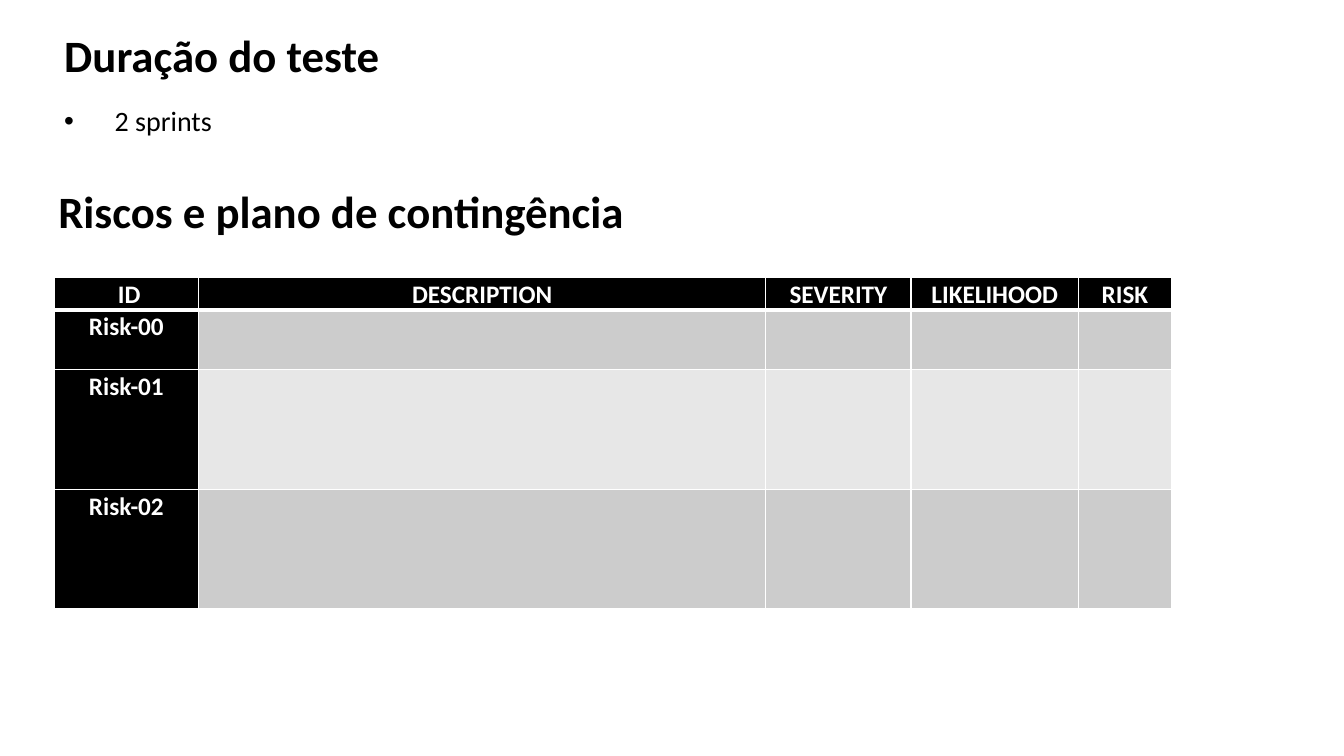
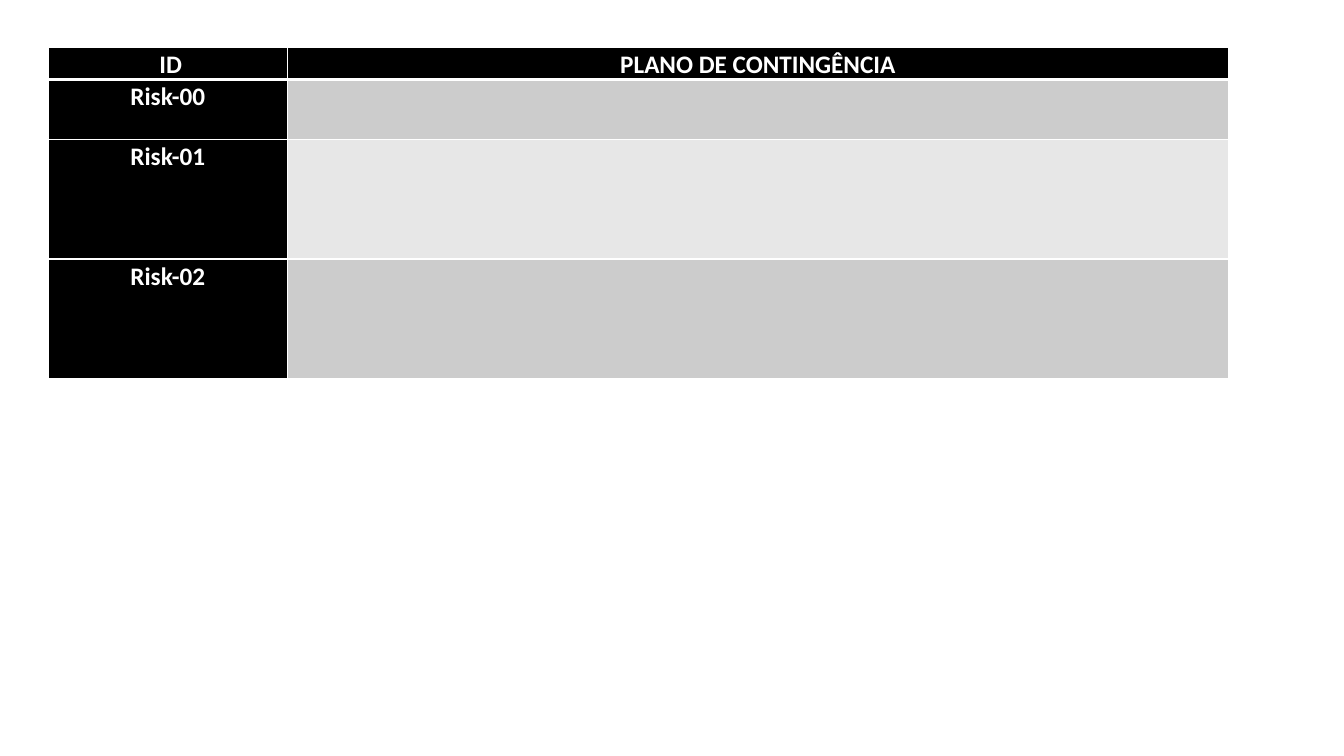
"""Build two slides on test duration, risks and the contingency plan."""
from dataclasses import dataclass

from lxml import etree
from pptx import Presentation
from pptx.dml.color import RGBColor
from pptx.enum.text import MSO_AUTO_SIZE, PP_ALIGN
from pptx.oxml.ns import qn
from pptx.util import Cm, Pt

CENTER, LEFT = PP_ALIGN.CENTER, PP_ALIGN.LEFT
FIT_SHAPE = MSO_AUTO_SIZE.SHAPE_TO_FIT_TEXT


@dataclass(frozen=True)
class Theme:
    font: str = "Calibri"
    dark: str = "000000"
    light: str = "FFFFFF"
    bands: tuple = ("CCCCCC", "E7E7E7")
    heading: int = 32
    body: int = 20
    cell: int = 18
    thin_line: int = 1
    thick_line: int = 3


THEME = Theme()
RISKS = ("Risk-00", "Risk-01", "Risk-02")
ROW_HEIGHTS = (0.74, 1.5, 3.02, 3.02)
SLIDES = (
    {
        "texts": (
            ("Duração do teste", (1.37, 0.58, 8.84, 1.62), {"size": THEME.heading, "bold": True}),
            ("2 sprints", (1.37, 2.49, 4.27, 1.12), {"size": THEME.body, "indent": 1.27}),
            ("Riscos e plano de contingência", (1.22, 4.5, 15.21, 1.62),
             {"size": THEME.heading, "bold": True}),
        ),
        "corner": (1.37, 6.99),
        "columns": (("\u00a0ID", 3.63), ("DESCRIPTION", 14.3), ("SEVERITY", 3.66),
                    ("LIKELIHOOD", 4.22), ("RISK", 2.34)),
    },
    {
        "texts": (),
        "corner": (1.22, 1.19),
        "columns": (("\u00a0ID", 6.02), ("PLANO DE CONTINGÊNCIA", 23.72)),
    },
)


def write_text(frame, text, size, color=THEME.dark, bold=False, align=LEFT,
               spacing=None, indent=None):
    para = frame.paragraphs[0]
    para.alignment = align
    if spacing:
        para.line_spacing = spacing
    if indent:
        properties = para._p.get_or_add_pPr()
        properties.set("marL", str(Cm(indent)))
        properties.set("indent", str(-Cm(indent)))
        etree.SubElement(properties, qn("a:buFont"), typeface="Arial")
        etree.SubElement(properties, qn("a:buChar"), char="•")
    span = para.add_run()
    span.text = text
    span.font.name = THEME.font
    span.font.size = Pt(size)
    span.font.bold = bold
    span.font.color.rgb = RGBColor.from_string(color)


def add_text(page, text, place, **text_format):
    box = page.shapes.add_textbox(*(Cm(length) for length in place))
    box.text_frame.word_wrap = False
    box.text_frame.auto_size = FIT_SHAPE
    write_text(box.text_frame, text, **text_format)


def style_cell(cell, fill, top, bottom):
    properties = cell._tc.get_or_add_tcPr()
    widths = {"lnL": THEME.thin_line, "lnR": THEME.thin_line, "lnT": top, "lnB": bottom}
    for side, width in widths.items():
        line = etree.SubElement(properties, qn(f"a:{side}"), w=str(Pt(width)))
        solid = etree.SubElement(line, qn("a:solidFill"))
        etree.SubElement(solid, qn("a:srgbClr"), val=THEME.light)
    cell.fill.solid()
    cell.fill.fore_color.rgb = RGBColor.from_string(fill)
    cell.margin_left = cell.margin_right = Cm(0.18)
    cell.margin_top = cell.margin_bottom = 0


def add_risk_table(page, corner, columns):
    names, widths = zip(*columns)
    lengths = (*corner, sum(widths), sum(ROW_HEIGHTS))
    frame = page.shapes.add_table(len(ROW_HEIGHTS), len(columns),
                                  *(Cm(length) for length in lengths))
    table = frame.table
    table.horz_banding = False
    for column, width in zip(table.columns, widths):
        column.width = Cm(width)
    rows = [names] + [(risk,) + ("",) * (len(names) - 1) for risk in RISKS]
    for row_index, (texts, height) in enumerate(zip(rows, ROW_HEIGHTS)):
        table.rows[row_index].height = Cm(height)
        top = THEME.thick_line if row_index == 1 else THEME.thin_line
        bottom = THEME.thick_line if row_index == 0 else THEME.thin_line
        for column_index, text in enumerate(texts):
            cell = table.cell(row_index, column_index)
            band = THEME.bands[(row_index - 1) % len(THEME.bands)]
            style_cell(cell, THEME.dark if text else band, top, bottom)
            if text:
                write_text(cell.text_frame, text, size=THEME.cell, color=THEME.light,
                           bold=True, align=CENTER, spacing=1.07)


def build_deck():
    deck = Presentation()
    deck.slide_width, deck.slide_height = Cm(33.87), Cm(19.05)
    for content in SLIDES:
        page = deck.slides.add_slide(deck.slide_layouts[6])
        for text, place, text_format in content["texts"]:
            add_text(page, text, place, **text_format)
        add_risk_table(page, content["corner"], content["columns"])
    deck.save("out.pptx")


build_deck()
